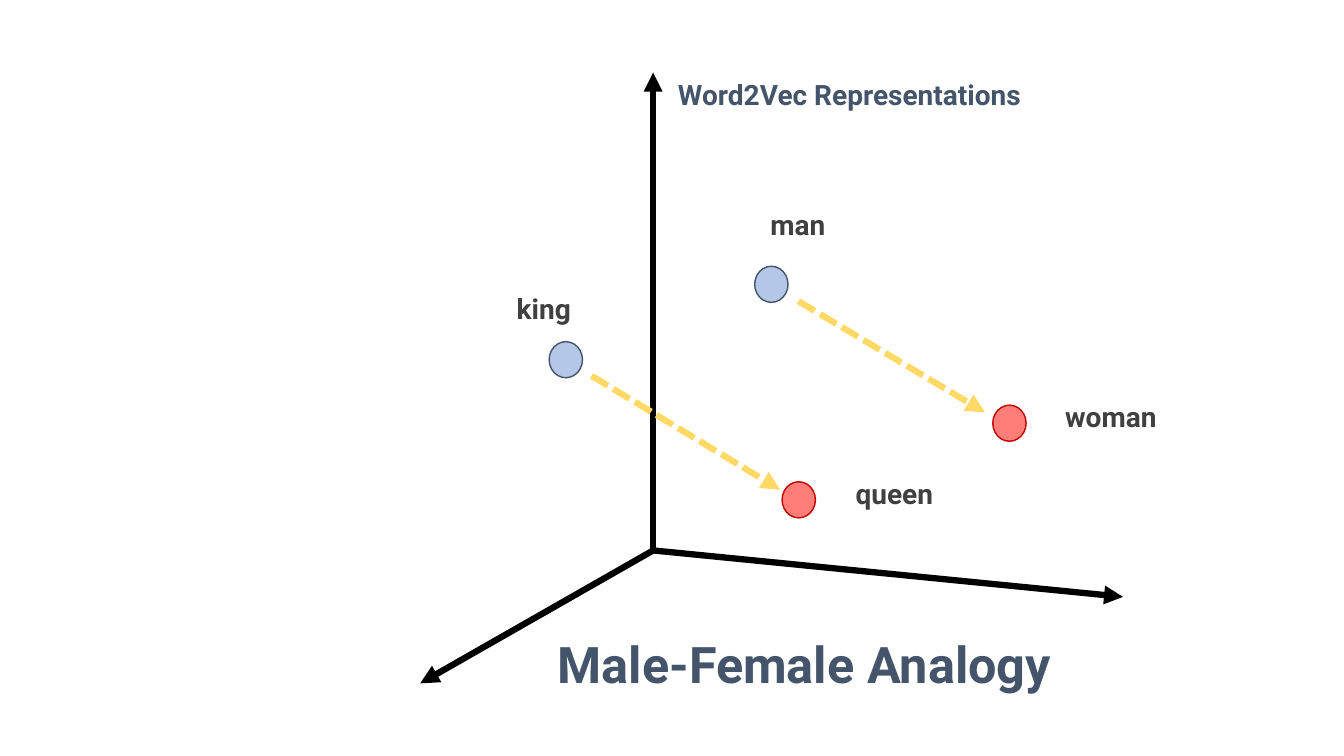
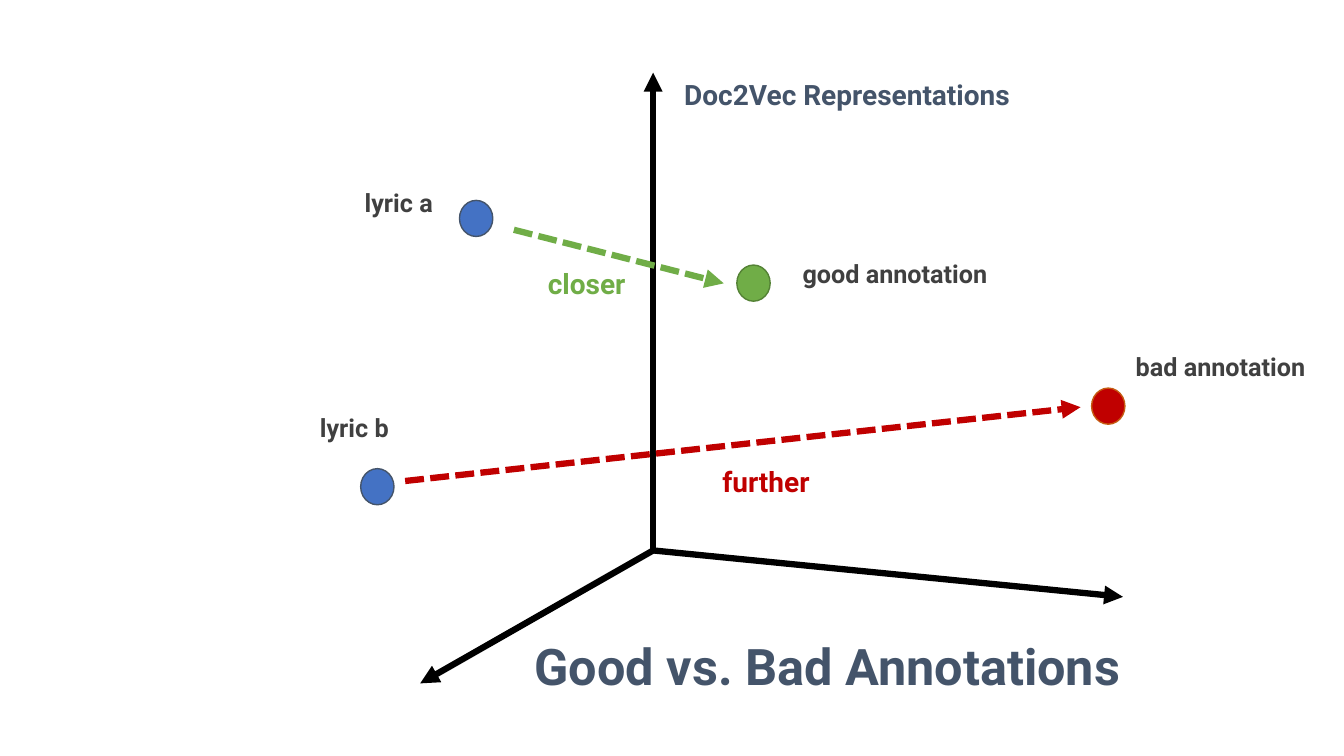
from lxml.etree import SubElement
from pptx import Presentation
from pptx.dml.color import RGBColor
from pptx.enum.dml import MSO_LINE_DASH_STYLE as Dash
from pptx.enum.shapes import MSO_CONNECTOR, MSO_SHAPE
from pptx.enum.text import MSO_ANCHOR, MSO_AUTO_SIZE, PP_ALIGN
from pptx.oxml.ns import qn
from pptx.util import Cm, Pt

FONT = "Roboto"
BLACK = RGBColor(0x00, 0x00, 0x00)
SLATE = RGBColor(0x44, 0x54, 0x6A)
GRAY = RGBColor(0x40, 0x40, 0x40)
PALE_BLUE = RGBColor(0xB4, 0xC7, 0xE7)
BLUE = RGBColor(0x44, 0x72, 0xC4)
CORAL = RGBColor(0xFF, 0x7E, 0x79)
RED = RGBColor(0xC0, 0x00, 0x00)
RUST = RGBColor(0xC5, 0x5A, 0x11)
GREEN = RGBColor(0x70, 0xAD, 0x47)
DARK_GREEN = RGBColor(0x54, 0x82, 0x35)
YELLOW = RGBColor(0xFF, 0xD9, 0x66)

ORIGIN = (16.46, 13.87)
AXIS_ENDS = [(16.46, 1.83), (28.3, 15.04), (10.59, 17.22)]
DOT_WIDTH, DOT_HEIGHT = 0.84, 0.91
HEADING_TOP = 1.83
LABEL_HEIGHTS = {18: 1.02, 20: 1.12}

PLOTS = [
    {
        "title": ("Male-Female Analogy", 13.34, 15.82, 13.87),
        "heading": ("Word2Vec Representations", 16.56, 9.7),
        "dots": [
            (13.84, 8.61, PALE_BLUE, SLATE),
            (19.71, 12.14, CORAL, RED),
            (25.02, 10.21, CORAL, RED),
            (19.02, 6.71, PALE_BLUE, SLATE),
        ],
        "relations": [
            ((20.12, 7.59), (24.82, 10.39), YELLOW),
            ((14.91, 9.47), (19.66, 12.34), YELLOW),
        ],
        "labels": [
            ("king", 12.42, 7.21, 2.57, 20, GRAY),
            ("queen", 20.52, 11.89, 4.04, 20, GRAY),
            ("man", 18.8, 5.11, 2.62, 20, GRAY),
            ("woman", 25.86, 9.93, 4.27, 20, GRAY),
        ],
    },
    {
        "title": ("Good vs. Bad Annotations", 12.32, 15.88, 17.07),
        "heading": ("Doc2Vec Representations", 16.31, 10.08),
        "dots": [
            (18.57, 6.68, GREEN, DARK_GREEN),
            (11.58, 5.05, BLUE, SLATE),
            (27.51, 9.78, RED, RUST),
            (9.09, 11.81, BLUE, SLATE),
        ],
        "relations": [
            ((12.95, 5.79), (18.24, 7.14), GREEN),
            ((10.21, 12.12), (27.23, 10.26), RED),
        ],
        "labels": [
            ("lyric a", 8.08, 4.6, 3.94, 18, GRAY),
            ("good annotation", 19.43, 6.38, 6.25, 18, GRAY),
            ("closer", 13.21, 6.6, 3.15, 20, GREEN),
            ("bad annotation", 27.94, 8.74, 5.64, 18, GRAY),
            ("lyric b", 6.96, 10.26, 3.94, 18, GRAY),
            ("further", 17.73, 11.58, 3.15, 20, RED),
        ],
    },
]


def add_arrow(slide, start, end, color, dash=None):
    arrow = slide.shapes.add_connector(
        MSO_CONNECTOR.STRAIGHT, *(Cm(value) for value in start + end)
    )
    arrow.line.color.rgb = color
    arrow.line.width = Pt(4.5)
    if dash is not None:
        arrow.line.dash_style = dash
    properties = arrow.element.spPr
    SubElement(properties.find(qn("a:ln")), qn("a:tailEnd"), type="triangle")
    SubElement(properties, qn("a:effectLst"))


def write_text(frame, text, size, color):
    frame.text = text
    frame.word_wrap = True
    frame.auto_size = MSO_AUTO_SIZE.NONE
    frame.vertical_anchor = MSO_ANCHOR.TOP
    paragraph = frame.paragraphs[0]
    paragraph.alignment = PP_ALIGN.CENTER
    paragraph.font.name = FONT
    paragraph.font.size = Pt(size)
    paragraph.font.bold = True
    paragraph.font.color.rgb = color


deck = Presentation()
deck.slide_width, deck.slide_height = Cm(33.87), Cm(19.05)
title_only = deck.slide_layouts[5]

for plot in PLOTS:
    slide = deck.slides.add_slide(title_only)

    text, left, top, width = plot["title"]
    title = slide.shapes.title
    title.left, title.top = Cm(left), Cm(top)
    title.width, title.height = Cm(width), Cm(1.8)
    write_text(title.text_frame, text, 36, SLATE)

    for axis_end in AXIS_ENDS:
        add_arrow(slide, ORIGIN, axis_end, BLACK)

    for left, top, fill, outline in plot["dots"]:
        dot = slide.shapes.add_shape(
            MSO_SHAPE.OVAL, Cm(left), Cm(top), Cm(DOT_WIDTH), Cm(DOT_HEIGHT)
        )
        dot.shadow.inherit = False
        dot.fill.solid()
        dot.fill.fore_color.rgb = fill
        dot.line.color.rgb = outline
        dot.line.width = Pt(1)

    for start, end, color in plot["relations"]:
        add_arrow(slide, start, end, color, Dash.SQUARE_DOT)

    text, left, width = plot["heading"]
    heading = (text, left, HEADING_TOP, width, 20, SLATE)
    for text, left, top, width, size, color in plot["labels"] + [heading]:
        label = slide.shapes.add_textbox(
            Cm(left), Cm(top), Cm(width), Cm(LABEL_HEIGHTS[size])
        )
        write_text(label.text_frame, text, size, color)

deck.save("out.pptx")
